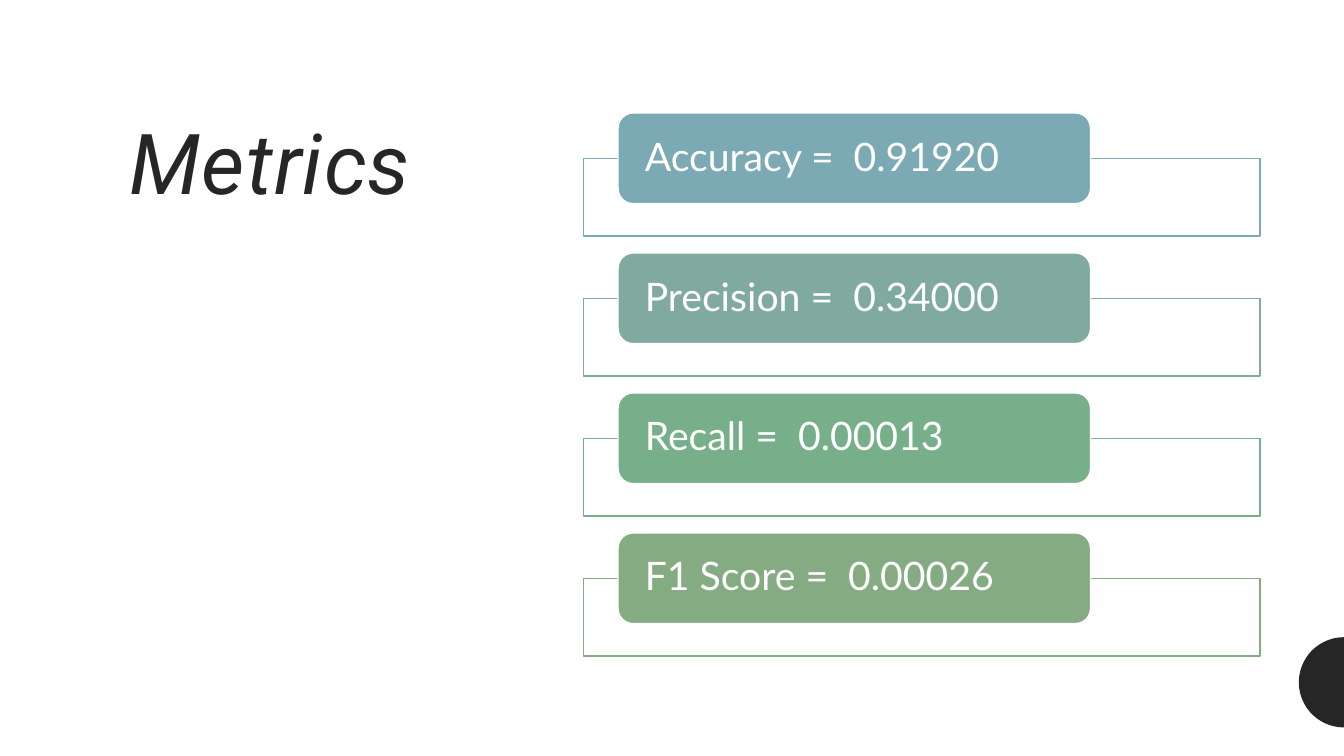
"""Build the classifier metrics slide."""
import math
from dataclasses import dataclass

import pptx
import pptx.dml.color
import pptx.enum.shapes
import pptx.enum.text
import pptx.oxml
import pptx.oxml.ns
import pptx.util

Pt = pptx.util.Pt
SHAPES = pptx.enum.shapes.MSO_SHAPE
ANCHOR = pptx.enum.text.MSO_ANCHOR

HEADING = "Metrics"
METRICS = [
    ("Accuracy =  0.91920", "7BA9B4"),
    ("Precision =  0.34000", "80AAA0"),
    ("Recall =  0.00013", "77AF8A"),
    ("F1 Score =  0.00026", "85AB82"),
]


@dataclass(frozen=True)
class Theme:
    dark: str = "262626"
    light: str = "FFFFFF"
    heading_font: str = "Roboto"
    body_font: str = "Lato"
    heading_size: int = 60
    body_size: int = 28
    line_width: int = 1


THEME = Theme()
SLIDE_SIZE = (960, 540)
HEADING_BOX = (85, 83.5, 281.5, 379)
FRAME_LEFT, FRAME_WIDTH, FRAME_HEIGHT = 417, 483, 55.6
PILL_LEFT, PILL_WIDTH, PILL_HEIGHT = 441.5, 337.5, 64.8
FIRST_TOP, PITCH = 80.7, 100
PILL_INSET = 16
DISC_CENTRE, DISC_RADIUS, DISC_STEPS = (960, 487.4), 32.2, 48


def rgb(code):
    return pptx.dml.color.RGBColor.from_string(code)


def write(frame, text, *, font, size, color, italic=False, spacing=0,
          anchor=ANCHOR.MIDDLE, insets=(7.2, 3.6)):
    frame.word_wrap = True
    frame.auto_size = pptx.enum.text.MSO_AUTO_SIZE.NONE
    frame.vertical_anchor = anchor
    frame.margin_left = frame.margin_right = Pt(insets[0])
    frame.margin_top = frame.margin_bottom = Pt(insets[1])
    paragraph = frame.paragraphs[0]
    paragraph.alignment = pptx.enum.text.PP_ALIGN.LEFT
    paragraph.line_spacing = 0.9
    run = paragraph.add_run()
    run.text = text
    run.font.name = font
    run.font.size = Pt(size)
    run.font.italic = italic
    run.font.color.rgb = rgb(color)
    if spacing:
        run.font._element.set("spc", str(spacing * 100))


def paint(shape, fill, line=None, opacity=100):
    shape.shadow.inherit = False
    shape.fill.solid()
    shape.fill.fore_color.rgb = rgb(fill)
    if opacity < 100:
        color = shape._element.spPr.find(".//" + pptx.oxml.ns.qn("a:srgbClr"))
        alpha = pptx.oxml.parse_xml(
            f'<a:alpha {pptx.oxml.ns.nsdecls("a")} val="{opacity * 1000}"/>')
        color.append(alpha)
    if line:
        shape.line.color.rgb = rgb(line)
        shape.line.width = Pt(THEME.line_width)
    else:
        shape.line.fill.background()


def add_block(slide, kind, box, **style):
    block = slide.shapes.add_shape(kind, *map(Pt, box))
    paint(block, **style)
    return block


def add_half_disc(slide):
    angles = [math.pi * (0.5 + step / DISC_STEPS) for step in range(DISC_STEPS + 1)]
    rim = [(Pt(DISC_CENTRE[0] + DISC_RADIUS * math.cos(angle)),
            Pt(DISC_CENTRE[1] + DISC_RADIUS * math.sin(angle))) for angle in angles]
    builder = slide.shapes.build_freeform(*rim[0])
    builder.add_line_segments(rim[1:], close=True)
    paint(builder.convert_to_shape(), THEME.dark)


def add_heading(slide):
    heading = slide.shapes.title
    heading.left, heading.top, heading.width, heading.height = map(Pt, HEADING_BOX)
    write(heading.text_frame, HEADING, font=THEME.heading_font,
          size=THEME.heading_size, color=THEME.dark, italic=True, spacing=1,
          anchor=ANCHOR.TOP)


def add_metric(slide, row, label, color):
    top = FIRST_TOP + row * PITCH
    add_block(slide, SHAPES.RECTANGLE,
              (FRAME_LEFT, top + PILL_HEIGHT / 2, FRAME_WIDTH, FRAME_HEIGHT),
              fill=THEME.light, line=color, opacity=90)
    pill = add_block(slide, SHAPES.ROUNDED_RECTANGLE,
                     (PILL_LEFT, top, PILL_WIDTH, PILL_HEIGHT),
                     fill=color, line=THEME.light)
    write(pill.text_frame, label, font=THEME.body_font, size=THEME.body_size,
          color=THEME.light, insets=(PILL_INSET, 0))


def main():
    deck = pptx.Presentation()
    deck.slide_width, deck.slide_height = map(Pt, SLIDE_SIZE)
    slide = deck.slides.add_slide(deck.slide_layouts.get_by_name("Title Only"))
    add_half_disc(slide)
    add_heading(slide)
    for row, (label, color) in enumerate(METRICS):
        add_metric(slide, row, label, color)
    deck.save("out.pptx")


if __name__ == "__main__":
    main()
